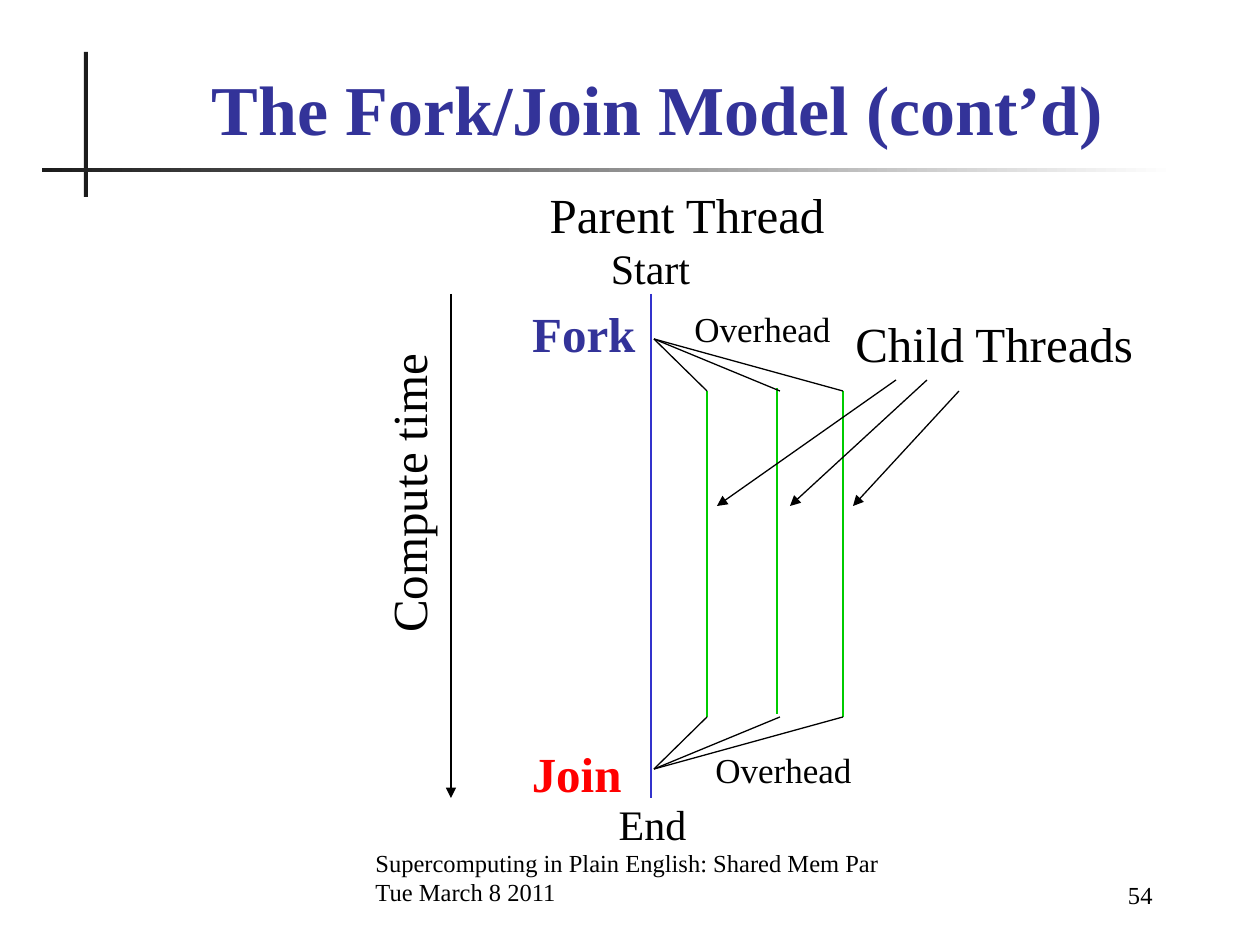
from dataclasses import dataclass

from lxml.etree import SubElement
from pptx import Presentation
from pptx.dml.color import RGBColor
from pptx.enum.shapes import MSO_CONNECTOR, MSO_SHAPE
from pptx.enum.text import MSO_ANCHOR, MSO_AUTO_SIZE, PP_ALIGN
from pptx.oxml.ns import qn
from pptx.util import Pt

PX = 914400 / 126  # EMU per px
FONT = "Times New Roman"
COLORS = {
    "black": "000000", "white": "FFFFFF", "rule": "1C1C1C", "title": "333399",
    "parent": "3333CC", "child": "00CC00", "join": "FF0000",
}
LEFT, CENTER, RIGHT = PP_ALIGN.LEFT, PP_ALIGN.CENTER, PP_ALIGN.RIGHT


@dataclass
class Label:
    lines: tuple[str, ...]
    box: tuple[int, int, int, int]
    size: int
    align: PP_ALIGN = LEFT
    color: str = "black"
    bold: bool = False
    rotation: int = 0
    anchor: MSO_ANCHOR = MSO_ANCHOR.TOP
    wrap: bool = False


@dataclass
class Line:
    start: tuple[int, int]
    end: tuple[int, int]
    color: str = "black"
    arrow: bool = False


def emu(*lengths: int) -> list[int]:
    return [round(n * PX) for n in lengths]


def rgb(name: str) -> RGBColor:
    return RGBColor.from_string(COLORS[name])


def write_text(s, label: Label) -> None:
    s.left, s.top, s.width, s.height = emu(*label.box)
    s.rotation = label.rotation
    tf = s.text_frame
    tf.word_wrap = label.wrap
    tf.auto_size = (MSO_AUTO_SIZE.NONE if label.wrap
                    else MSO_AUTO_SIZE.SHAPE_TO_FIT_TEXT)
    tf.vertical_anchor = label.anchor
    for i, line in enumerate(label.lines):
        p = tf.add_paragraph() if i else tf.paragraphs[0]
        p.alignment = label.align
        r = p.add_run()
        r.text = line
        r.font.name = FONT
        r.font.size = Pt(label.size)
        r.font.bold = label.bold
        r.font.color.rgb = rgb(label.color)


def draw_line(slide, line: Line) -> None:
    s = slide.shapes.add_connector(
        MSO_CONNECTOR.STRAIGHT, *emu(*line.start, *line.end))
    s.line.color.rgb = rgb(line.color)
    s.line.width = Pt(0.75)
    if line.arrow:
        SubElement(s.line._get_or_add_ln(), qn("a:tailEnd"), type="triangle")
    SubElement(s._element.spPr, qn("a:effectLst"))


def draw_rule(slide, box: tuple[int, int, int, int], fade: bool) -> None:
    s = slide.shapes.add_shape(MSO_SHAPE.RECTANGLE, *emu(*box))
    s.shadow.inherit = False
    s.line.fill.background()
    if fade:
        s.fill.gradient()
        s.fill.gradient_angle = 0
        for stop, name in zip(s.fill.gradient_stops, ("rule", "white")):
            stop.color.rgb = rgb(name)
    else:
        s.fill.solid()
        s.fill.fore_color.rgb = rgb("rule")


TITLE = Label(("The Fork/Join Model (cont’d)",), (105, 63, 1105, 93), 40,
              CENTER, "title", True, anchor=MSO_ANCHOR.BOTTOM, wrap=True)

LABELS = [
    Label(("Supercomputing in Plain English: Shared Mem Par",
           "Tue March 8 2011"), (363, 850, 551, 63), 14,
          anchor=MSO_ANCHOR.BOTTOM, wrap=True),
    Label(("54",), (986, 853, 179, 63), 14, RIGHT,
          anchor=MSO_ANCHOR.BOTTOM, wrap=True),
    Label(("Parent Thread",), (536, 178, 301, 72), 28, RIGHT),
    Label(("Fork",), (519, 297, 129, 72), 28, RIGHT, "title", True),
    Label(("Join",), (519, 737, 115, 72), 28, RIGHT, "join", True),
    Label(("Start",), (598, 236, 105, 63), 24, CENTER),
    Label(("End",), (606, 792, 93, 63), 24, CENTER),
    Label(("Child Threads",), (843, 307, 304, 72), 28),
    Label(("Compute time",), (256, 457, 304, 72), 28, rotation=270),
    Label(("Overhead",), (682, 301, 164, 54), 20),
    Label(("Overhead",), (703, 742, 164, 54), 20),
]

# Thread geometry
START_Y, END_Y = 294, 798
FORK, JOIN = (654, 339), (654, 769)
SPLIT_Y, MERGE_Y = 391, 717
BRANCH_XS = (707, 780, 843)

LINES = [
    Line((651, START_Y), (651, END_Y), "parent"),
    Line((451, START_Y), (451, END_Y), arrow=True),
    # Child threads; the middle one sits slightly left of its branch ends
    Line((707, SPLIT_Y), (707, MERGE_Y), "child"),
    Line((777, 388), (777, 714), "child"),
    Line((843, SPLIT_Y), (843, MERGE_Y), "child"),
    # Overhead of forking and joining
    *(Line(FORK, (x, SPLIT_Y)) for x in BRANCH_XS),
    *(Line(JOIN, (x, MERGE_Y)) for x in BRANCH_XS),
    # Pointers to the child threads
    Line((896, 380), (717, 506), arrow=True),
    Line((927, 380), (790, 506), arrow=True),
    Line((959, 391), (853, 506), arrow=True),
]


def main() -> None:
    prs = Presentation()
    prs.slide_width, prs.slide_height = emu(1260, 945)
    slide = prs.slides.add_slide(prs.slide_layouts[5])

    # Title and its rules
    draw_rule(slide, (84, 52, 4, 145), fade=False)
    draw_rule(slide, (42, 168, 1134, 4), fade=True)
    write_text(slide.shapes.title, TITLE)

    # Diagram
    for line in LINES:
        draw_line(slide, line)
    for label in LABELS:
        write_text(slide.shapes.add_textbox(0, 0, 0, 0), label)

    prs.save("out.pptx")


if __name__ == "__main__":
    main()
